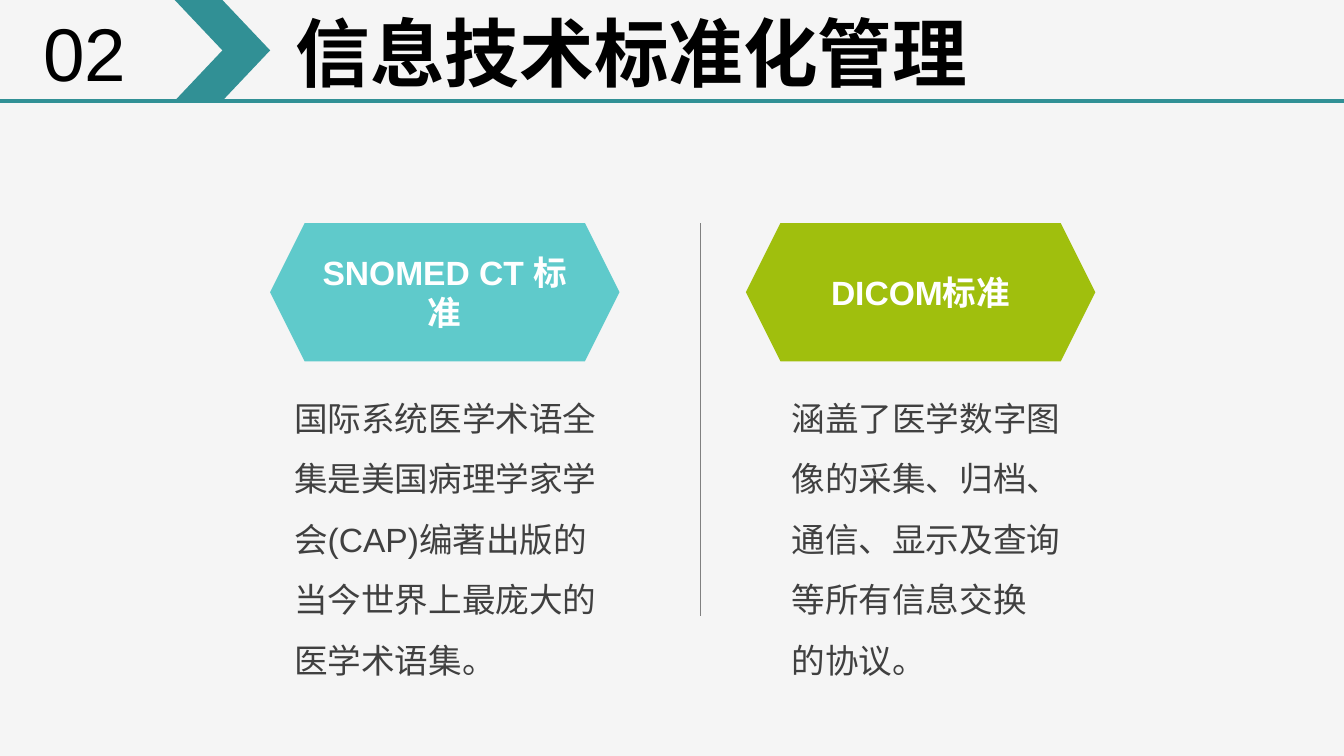
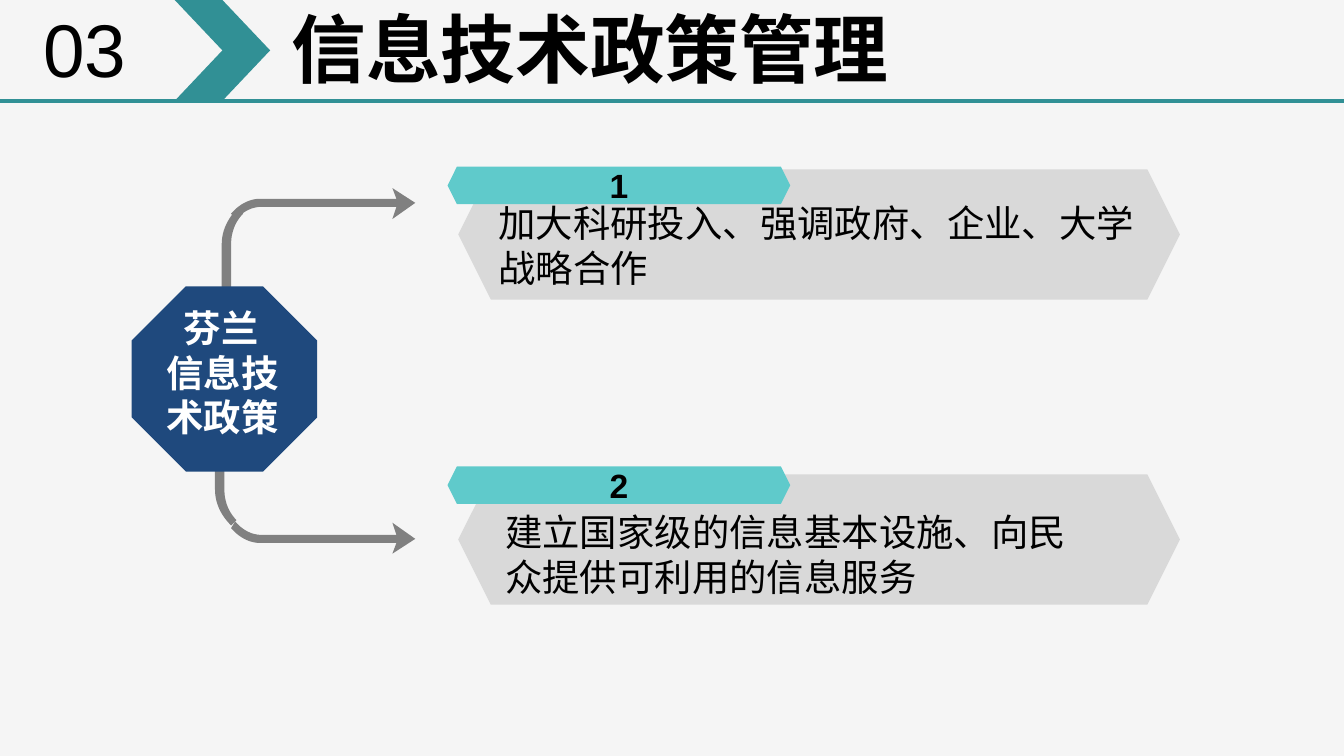
from dataclasses import dataclass
from typing import Any

from lxml.etree import SubElement
from pptx import Presentation
from pptx.dml.color import RGBColor
from pptx.enum.lang import MSO_LANGUAGE_ID as Lang
from pptx.enum.shapes import MSO_CONNECTOR as Line, MSO_SHAPE as Kind
from pptx.enum.text import MSO_ANCHOR as Anchor, MSO_AUTO_SIZE as Fit, PP_ALIGN as Align
from pptx.oxml.ns import qn
from pptx.util import Inches, Pt

COLS, ROWS = 100, 56.25
WIDTH, HEIGHT = Inches(10), Inches(5.625)

PAPER = RGBColor(0xF5, 0xF5, 0xF5)
TEAL = RGBColor(0x31, 0x90, 0x95)
AQUA = RGBColor(0x5F, 0xCA, 0xCB)
LIME = RGBColor(0xA0, 0xBF, 0x0D)
NAVY = RGBColor(0x1F, 0x49, 0x7D)
GREY = RGBColor(0x80, 0x80, 0x80)
PALE = RGBColor(0xD9, 0xD9, 0xD9)
DARK = RGBColor(0x40, 0x40, 0x40)
BLACK = RGBColor(0, 0, 0)
WHITE = RGBColor(0xFF, 0xFF, 0xFF)

FONT = "Arial"
WIDE, TIGHT, BADGE = (0.1, 0.05), (0.08, 0.04), (0.11, 0.06)

Point = tuple[float, float]


@dataclass(frozen=True)
class Box:
    x: float
    y: float
    w: float
    h: float


@dataclass(frozen=True)
class Topic:
    name: str
    color: RGBColor
    left: float
    text: str
    body: Box


@dataclass(frozen=True)
class Step:
    label: str
    tag: float
    panel: float
    text: str
    body: Box


TOPICS = [
    Topic("SNOMED CT 标准", AQUA, 20.1,
          "国际系统医学术语全集是美国病理学家学会(CAP)编著出版的当今世界上最庞大的医学术语集。",
          Box(20.9, 27.6, 26, 23.7)),
    Topic("DICOM标准", LIME, 55.5,
          "涵盖了医学数字图像的采集、归档、通信、显示及查询等所有信息交换\n的协议。",
          Box(57.9, 27.6, 23.1, 23.7)),
]

STEPS = [
    Step("1", 12.4, 12.6, "加大科研投入、强调政府、企业、大学战略合作",
         Box(36.1, 14.4, 51.7, 7.7)),
    Step("2", 34.7, 35.3, "建立国家级的信息基本设施、向民众提供可利用的信息服务",
         Box(36.6, 37.4, 44.1, 7.7)),
]


def col(n: float) -> int:
    return round(WIDTH * n / COLS)


def row(n: float) -> int:
    return round(HEIGHT * n / ROWS)


def frame(box: Box) -> tuple[int, int, int, int]:
    return col(box.x), row(box.y), col(box.w), row(box.h)


def write(shape: Any, text: str, *, size: float = 18, color: RGBColor = BLACK,
          bold: bool = False, align: Align = Align.LEFT, anchor: Anchor = Anchor.TOP,
          inset: Point = WIDE, space: float = 1, wrap: bool = True,
          fit: Fit = Fit.NONE, indent: float = 0) -> None:
    area = shape.text_frame
    area.text = text
    area.word_wrap = wrap
    area.auto_size = fit
    area.vertical_anchor = anchor
    area.margin_left = area.margin_right = Inches(inset[0])
    area.margin_top = area.margin_bottom = Inches(inset[1])
    for para in area.paragraphs:
        para.alignment = align
        para.line_spacing = space
        for run in para.runs:
            font = run.font
            font.name, font.size, font.bold = FONT, Pt(size), bold
            font.color.rgb = color
            font.language_id = Lang.SIMPLIFIED_CHINESE
    if indent:
        area.paragraphs[0]._p.get_or_add_pPr().set("marL", str(Inches(indent)))


def paint(shape: Any, color: RGBColor) -> Any:
    shape.shadow.inherit = False
    shape.fill.solid()
    shape.fill.fore_color.rgb = color
    shape.line.fill.background()
    return shape


def block(shapes: Any, kind: Kind, box: Box, color: RGBColor) -> Any:
    return paint(shapes.add_shape(kind, *frame(box)), color)


def note(shapes: Any, box: Box, text: str, **style: Any) -> None:
    write(shapes.add_textbox(*frame(box)), text, **{"fit": Fit.SHAPE_TO_FIT_TEXT, **style})


def rule(shapes: Any, start: Point, end: Point, color: RGBColor, width: float) -> None:
    line = shapes.add_connector(Line.STRAIGHT, col(start[0]), row(start[1]),
                                col(end[0]), row(end[1]))
    line.line.color.rgb = color
    line.line.width = Pt(width)
    SubElement(line._element.spPr, qn("a:effectLst"))


def curve(a: Point, b: Point, c: Point, d: Point, count: int = 12) -> list[Point]:
    def mix(axis: int, t: float) -> float:
        u = 1 - t
        return (u ** 3 * a[axis] + 3 * u * u * t * b[axis]
                + 3 * u * t * t * c[axis] + t ** 3 * d[axis])

    return [(mix(0, i / count), mix(1, i / count)) for i in range(count + 1)]


def outline(shapes: Any, points: list[Point], color: RGBColor) -> None:
    spots = [(col(x), row(y)) for x, y in points]
    pen = shapes.build_freeform(*spots[0], scale=1.0)
    pen.add_line_segments(spots[1:], close=True)
    paint(pen.convert_to_shape(), color)


def flip(points: list[Point], axis: float, shift: float = 0) -> list[Point]:
    return [(x + shift, 2 * axis - y) for x, y in points]


STEM = [*curve((18.1, 15.9), (17.5, 16.5), (17.2, 17.3), (17.2, 18.2)),
        (17.2, 28.2), (16.5, 28.2),
        *curve((16.5, 18.2), (16.5, 17.1), (17, 16.2), (17.7, 15.5))]
HEAD = [(29.5, 14.8), (29.2, 14), (30.9, 15.1), (29.2, 16.3), (29.5, 15.4),
        *curve((19.4, 15.4), (18.7, 15.4), (18, 15.8), (17.5, 16.4)),
        *curve((17.2, 15.9), (17.7, 15.3), (18.5, 14.8), (19.3, 14.8))]


def start(deck: Any, number: str, title: str, box: Box) -> Any:
    slide = deck.slides.add_slide(deck.slide_layouts[5])
    slide.background.fill.solid()
    slide.background.fill.fore_color.rgb = PAPER
    shapes = slide.shapes
    head = shapes.title
    head.left, head.top, head.width, head.height = frame(box)
    write(head, title, size=40, bold=True, inset=TIGHT)
    rule(shapes, (0, 7.5), (COLS, 7.5), TEAL, 2.25)
    block(shapes, Kind.CHEVRON, Box(13, 0, 7.1, 7.5), TEAL)
    note(shapes, Box(2.4, box.y, 7.9, 7.6), number, size=40, inset=TIGHT, wrap=False)
    return shapes


def norms(deck: Any) -> None:
    shapes = start(deck, "02", "信息技术标准化管理", Box(21.2, 0.1, 67.3, 7.6))
    rule(shapes, (52.1, 16.6), (52.1, 45.8), GREY, 0.25)
    for topic in TOPICS:
        badge = block(shapes, Kind.HEXAGON, Box(topic.left, 16.6, 26, 10.3), topic.color)
        write(badge, topic.name, color=WHITE, bold=True, align=Align.CENTER,
              anchor=Anchor.MIDDLE, inset=TIGHT)
        note(shapes, topic.body, topic.text, color=DARK, space=1.5)


def policy(deck: Any) -> None:
    shapes = start(deck, "03", "信息技术政策管理", Box(20.9, -0.2, 56.3, 7.6))
    for part in (flip(STEM, 27.3, -0.5), STEM, HEAD, flip(HEAD, 27.6)):
        outline(shapes, part, GREY)
    hub = shapes.add_group_shape().shapes
    block(hub, Kind.OCTAGON, Box(9.8, 21.3, 13.8, 13.8), NAVY)
    note(hub, Box(11.4, 22.2, 11.7, 11.1), "芬兰\n信息技术政策",
         size=20, color=WHITE, bold=True, indent=0.13)
    for step in STEPS:
        block(shapes, Kind.HEXAGON, Box(34.1, step.panel, 53.7, 9.7), PALE)
        tag = block(shapes, Kind.HEXAGON, Box(33.3, step.tag, 25.5, 2.8), AQUA)
        write(tag, step.label, bold=True, align=Align.CENTER,
              anchor=Anchor.MIDDLE, inset=BADGE)
        note(shapes, step.body, step.text, size=20)


def main() -> None:
    deck = Presentation()
    deck.slide_width, deck.slide_height = WIDTH, HEIGHT
    norms(deck)
    policy(deck)
    deck.save("out.pptx")


if __name__ == "__main__":
    main()
